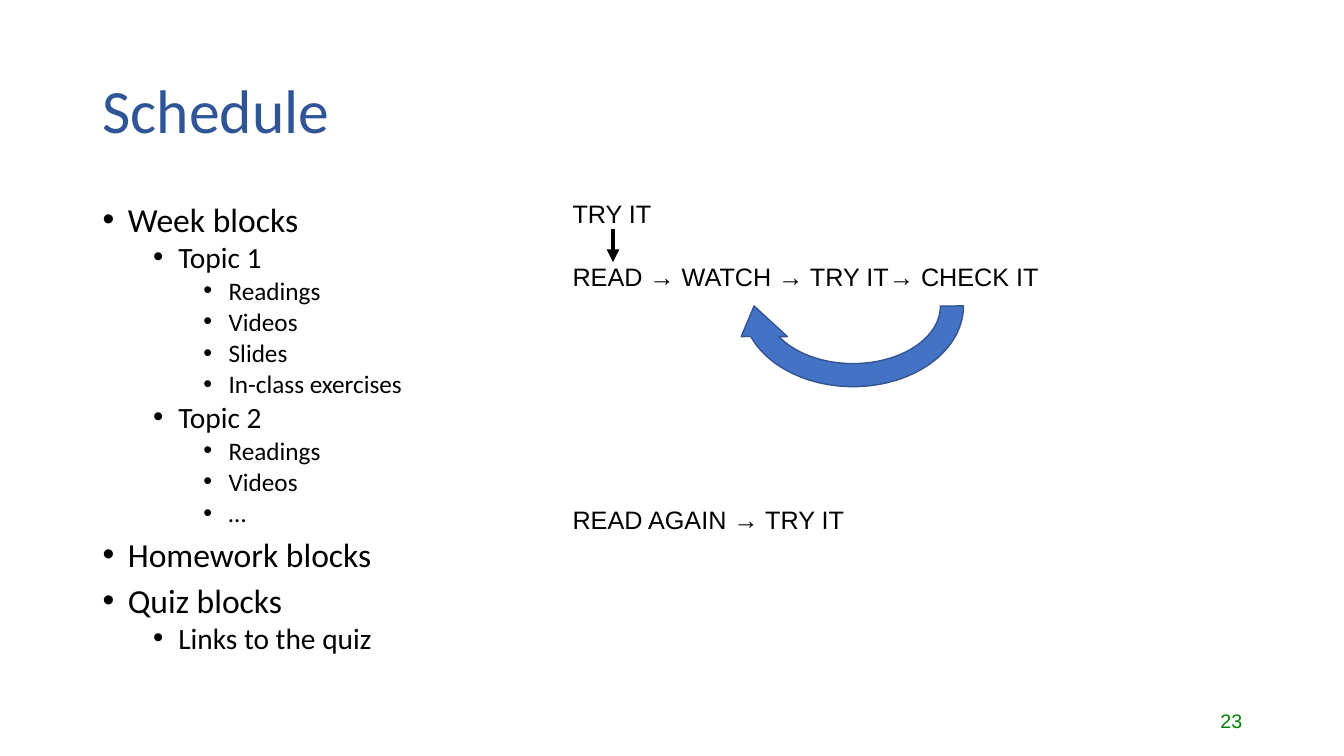
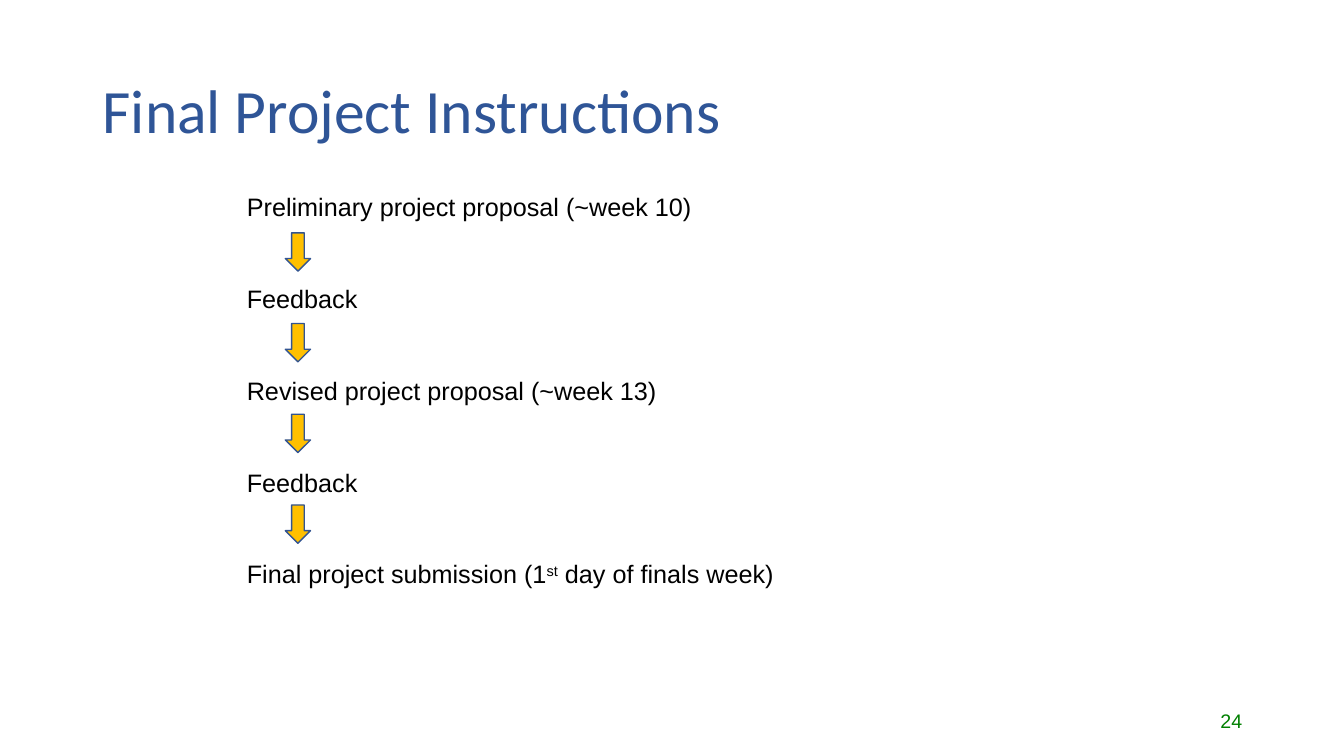
from lxml import etree
from pptx import Presentation
from pptx.dml.color import RGBColor
from pptx.enum import shapes, text
from pptx.oxml.ns import qn
from pptx.util import Inches, Pt

COLORS = {
    "title": "2F5597",
    "body": "000000",
    "number": "008000",
    "blue": "4472C4",
    "outline": "325491",
    "gold": "FFC000",
}
HEADING_FONT = "Calibri"
LABEL_FONT = "Arial"
OUTLINE_LEVELS = [(24, 10), (21, 5), (18, 5)]
STEP_PITCH = 0.9

SCHEDULE = [
    (0, "Week blocks"),
    (1, "Topic 1"),
    (2, "Readings"),
    (2, "Videos"),
    (2, "Slides"),
    (2, "In-class exercises"),
    (1, "Topic 2"),
    (2, "Readings"),
    (2, "Videos"),
    (2, "…"),
    (0, "Homework blocks"),
    (0, "Quiz blocks"),
    (1, "Links to the quiz"),
]
PROJECT_STEPS = [
    "Preliminary project proposal (~week 10)",
    "Feedback",
    "Revised project proposal (~week 13)",
    "Feedback",
    ["Final project submission (1", ("st", 30), " day of finals week)"],
]


def rgb(name):
    """Return the named palette colour."""
    return RGBColor.from_string(COLORS[name])


def add_frame(slide, box, anchor=text.MSO_ANCHOR.TOP, wrap=True):
    """Add a text box and return its empty text frame."""
    frame = slide.shapes.add_textbox(*map(Inches, box)).text_frame
    frame.word_wrap = wrap
    frame.vertical_anchor = anchor
    return frame


def write(frame, content, size=18, font=LABEL_FONT, color="body", align=None,
          line=None, before=0, level=None):
    """Write one paragraph; a (text, percent) part is raised by that percent."""
    paragraph = frame.paragraphs[0]
    if paragraph.runs:
        paragraph = frame.add_paragraph()
    paragraph.alignment = align
    paragraph.line_spacing = line
    paragraph.space_before = Pt(before)
    for part in [content] if isinstance(content, str) else content:
        words, rise = (part, 0) if isinstance(part, str) else part
        run = paragraph.add_run()
        run.text = words
        run.font.size = Pt(size)
        run.font.name = font
        run.font.color.rgb = rgb(color)
        if rise:
            run.font._element.set("baseline", str(rise * 1000))
    if level is not None:
        add_bullet(paragraph, level)


def add_bullet(paragraph, level):
    """Give a paragraph a hanging bullet at its outline level."""
    paragraph.level = level
    props = paragraph._p.get_or_add_pPr()
    props.set("marL", str(Inches(0.25 + 0.5 * level)))
    props.set("indent", str(Inches(-0.25)))
    etree.SubElement(props, qn("a:buFont")).set("typeface", LABEL_FONT)
    etree.SubElement(props, qn("a:buChar")).set("char", "•")


def add_block_arrow(slide, kind, box, fill, rotation=0):
    """Add a filled preset arrow with the shared outline."""
    arrow = slide.shapes.add_shape(kind, *map(Inches, box))
    arrow.shadow.inherit = False
    arrow.fill.solid()
    arrow.fill.fore_color.rgb = rgb(fill)
    arrow.line.color.rgb = rgb("outline")
    arrow.line.width = Pt(1)
    arrow.rotation = rotation


def add_line_arrow(slide, start, end):
    """Add a thick straight arrow between two points."""
    arrow = slide.shapes.add_connector(
        shapes.MSO_CONNECTOR.STRAIGHT, *map(Inches, start + end))
    arrow.line.color.rgb = rgb("body")
    arrow.line.width = Pt(3)
    tail = etree.SubElement(arrow.line._get_or_add_ln(), qn("a:tailEnd"))
    tail.set("type", "triangle")
    etree.SubElement(arrow._element.spPr, qn("a:effectLst"))


def add_base(deck, title, number):
    """Add a blank slide with the shared title and slide number."""
    slide = deck.slides.add_slide(deck.slide_layouts[6])
    middle = text.MSO_ANCHOR.MIDDLE
    write(add_frame(slide, (0.92, 0.4, 11.5, 1.45), middle), title,
          size=44, font=HEADING_FONT, color="title", line=0.9)
    write(add_frame(slide, (9.42, 6.95, 3, 0.4), middle), str(number),
          size=14, color="number", align=text.PP_ALIGN.RIGHT)
    return slide


def add_outline(slide, box, entries):
    """Write a bulleted outline of (level, text) entries."""
    frame = add_frame(slide, box)
    for level, entry in entries:
        size, before = OUTLINE_LEVELS[level]
        write(frame, entry, size=size, font=HEADING_FONT, line=0.8,
              before=before, level=level)


def add_learning_cycle(slide, left, top):
    """Draw the learning sequence with its entry arrow and return loop."""
    sequence = add_frame(slide, (left, top + 0.62, 5.25, 2.83))
    write(sequence, "READ → WATCH → TRY IT→ CHECK IT")
    write(sequence, "READ AGAIN → TRY IT", before=152)
    write(add_frame(slide, (left, top, 0.99, 0.4), wrap=False), "TRY IT")
    add_line_arrow(slide, (left + 0.5, top + 0.35), (left + 0.5, top + 0.68))
    add_block_arrow(slide, shapes.MSO_SHAPE.CIRCULAR_ARROW,
                    (left + 1.67, top + 0.2, 2.42, 1.83), "blue", rotation=180)


def add_steps(slide, left, top, steps):
    """Write evenly spaced steps joined by down arrows."""
    frame = add_frame(slide, (left, top, 5.9, 4.04))
    for index, step in enumerate(steps):
        write(frame, step, before=44 if index else 0)
    for index in range(len(steps) - 1):
        arrow_top = top + 0.46 + index * STEP_PITCH
        add_block_arrow(slide, shapes.MSO_SHAPE.DOWN_ARROW,
                        (left + 0.48, arrow_top, 0.25, 0.38), "gold")


def main():
    """Build and save the deck."""
    deck = Presentation()
    deck.slide_width = Inches(13.33)
    deck.slide_height = Inches(7.5)

    schedule = add_base(deck, "Schedule", 23)
    add_outline(schedule, (0.92, 2, 4.5, 4.76), SCHEDULE)
    add_learning_cycle(schedule, 5.58, 1.92)

    project = add_base(deck, "Final Project Instructions", 24)
    add_steps(project, 2.35, 1.85, PROJECT_STEPS)

    deck.save("out.pptx")


if __name__ == "__main__":
    main()
